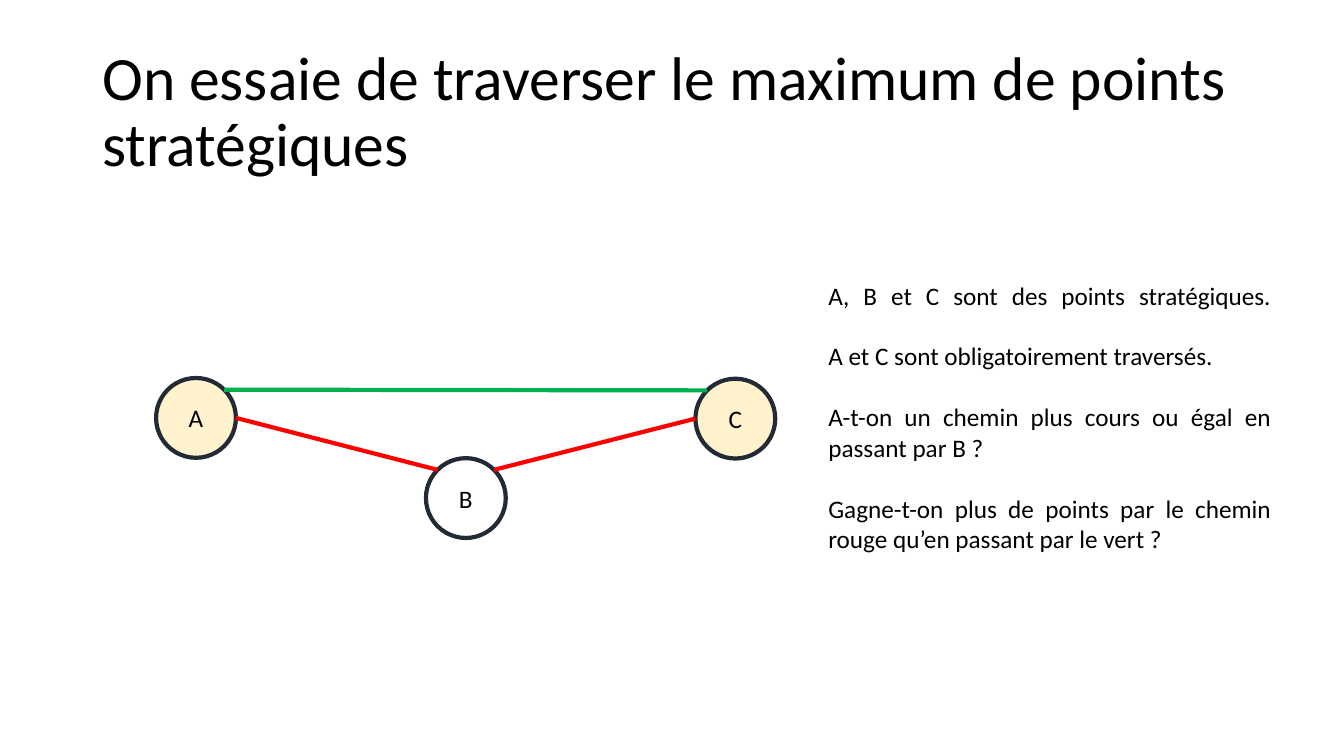
from dataclasses import dataclass
from math import cos, radians, sin
from typing import Optional

from lxml.etree import SubElement
from pptx import Presentation
from pptx.dml.color import RGBColor
from pptx.enum.shapes import MSO_CONNECTOR, MSO_SHAPE
from pptx.enum.text import MSO_ANCHOR as Anchor, MSO_AUTO_SIZE as AutoSize, PP_ALIGN as Align
from pptx.oxml.ns import qn
from pptx.slide import Slide
from pptx.text.text import TextFrame, _Paragraph as Paragraph
from pptx.util import Pt

BLACK = RGBColor(0x00, 0x00, 0x00)
NAVY = RGBColor(0x22, 0x2A, 0x35)
CREAM = RGBColor(0xFF, 0xF2, 0xCC)
GREEN = RGBColor(0x00, 0xB0, 0x50)
RED = RGBColor(0xFF, 0x00, 0x00)

FONT = "Calibri"
BODY_SIZE = 18
LINE_WIDTH = 3
RADIUS = 28.5

TITLE = "On essaie de traverser le maximum de points stratégiques"
# The line breaks make the first sentence spread over the full width.
QUESTIONS = (
    "A, B et C sont des points stratégiques.\v\vA et C sont obligatoirement traversés.",
    "A-t-on un chemin plus cours ou égal en passant par B ?",
    "Gagne-t-on plus de points par le chemin rouge qu’en passant par le vert ?",
)


@dataclass(frozen=True)
class Waypoint:
    label: str
    x: float
    y: float
    fill: Optional[RGBColor] = None

    def rim(self, angle: float) -> tuple[float, float]:
        """Point on the circle, in degrees anticlockwise from the right."""
        turn = radians(angle)
        return self.x + RADIUS * cos(turn), self.y - RADIUS * sin(turn)


@dataclass(frozen=True)
class Path:
    start: Waypoint
    start_angle: float
    end: Waypoint
    end_angle: float
    color: RGBColor


A = Waypoint("A", 140, 298.5, CREAM)
B = Waypoint("B", 332.75, 355.75)
C = Waypoint("C", 525.25, 299, CREAM)
PATHS = (
    Path(A, 45, C, 135, GREEN),
    Path(A, 0, B, 135, RED),
    Path(C, 180, B, 45, RED),
)


def style_text(paragraph: Paragraph, size: float, align: Align) -> None:
    paragraph.alignment = align
    for run in paragraph.runs:
        run.font.name = FONT
        run.font.size = Pt(size)
        run.font.color.rgb = BLACK


def add_text_area(slide: Slide, left: float, top: float, width: float, height: float) -> TextFrame:
    frame = slide.shapes.add_textbox(Pt(left), Pt(top), Pt(width), Pt(height)).text_frame
    frame.word_wrap = True
    return frame


def add_title(slide: Slide) -> None:
    frame = add_text_area(slide, 66, 28.8, 828, 104.4)
    frame.vertical_anchor = Anchor.MIDDLE
    frame.text = TITLE
    heading = frame.paragraphs[0]
    heading.line_spacing = 0.9
    style_text(heading, 44, Align.LEFT)


def add_questions(slide: Slide) -> None:
    frame = add_text_area(slide, 584.6, 196.6, 330.5, 203.8)
    frame.auto_size = AutoSize.SHAPE_TO_FIT_TEXT
    for index, question in enumerate(QUESTIONS):
        paragraph = frame.add_paragraph() if index else frame.paragraphs[0]
        paragraph.text = question
        if index:
            paragraph.space_before = Pt(22)
        style_text(paragraph, BODY_SIZE, Align.JUSTIFY)


def add_waypoint(slide: Slide, point: Waypoint) -> None:
    circle = slide.shapes.add_shape(
        MSO_SHAPE.OVAL, Pt(point.x - RADIUS), Pt(point.y - RADIUS), Pt(2 * RADIUS), Pt(2 * RADIUS)
    )
    circle.shadow.inherit = False
    if point.fill is None:
        circle.fill.background()
    else:
        circle.fill.solid()
        circle.fill.fore_color.rgb = point.fill
    circle.line.color.rgb = NAVY
    circle.line.width = Pt(LINE_WIDTH)
    frame = circle.text_frame
    frame.vertical_anchor = Anchor.MIDDLE
    frame.text = point.label
    style_text(frame.paragraphs[0], BODY_SIZE, Align.CENTER)


def add_path(slide: Slide, path: Path) -> None:
    ends = path.start.rim(path.start_angle) + path.end.rim(path.end_angle)
    connector = slide.shapes.add_connector(MSO_CONNECTOR.STRAIGHT, *map(Pt, ends))
    connector.line.color.rgb = path.color
    connector.line.width = Pt(LINE_WIDTH)
    SubElement(connector._element.spPr, qn("a:effectLst"))


def main() -> None:
    deck = Presentation()
    deck.slide_width, deck.slide_height = Pt(960), Pt(540)
    slide = deck.slides.add_slide(deck.slide_layouts[6])
    add_title(slide)
    for point in (B, C, A):
        add_waypoint(slide, point)
    for path in PATHS:
        add_path(slide, path)
    add_questions(slide)
    deck.save("out.pptx")


if __name__ == "__main__":
    main()
